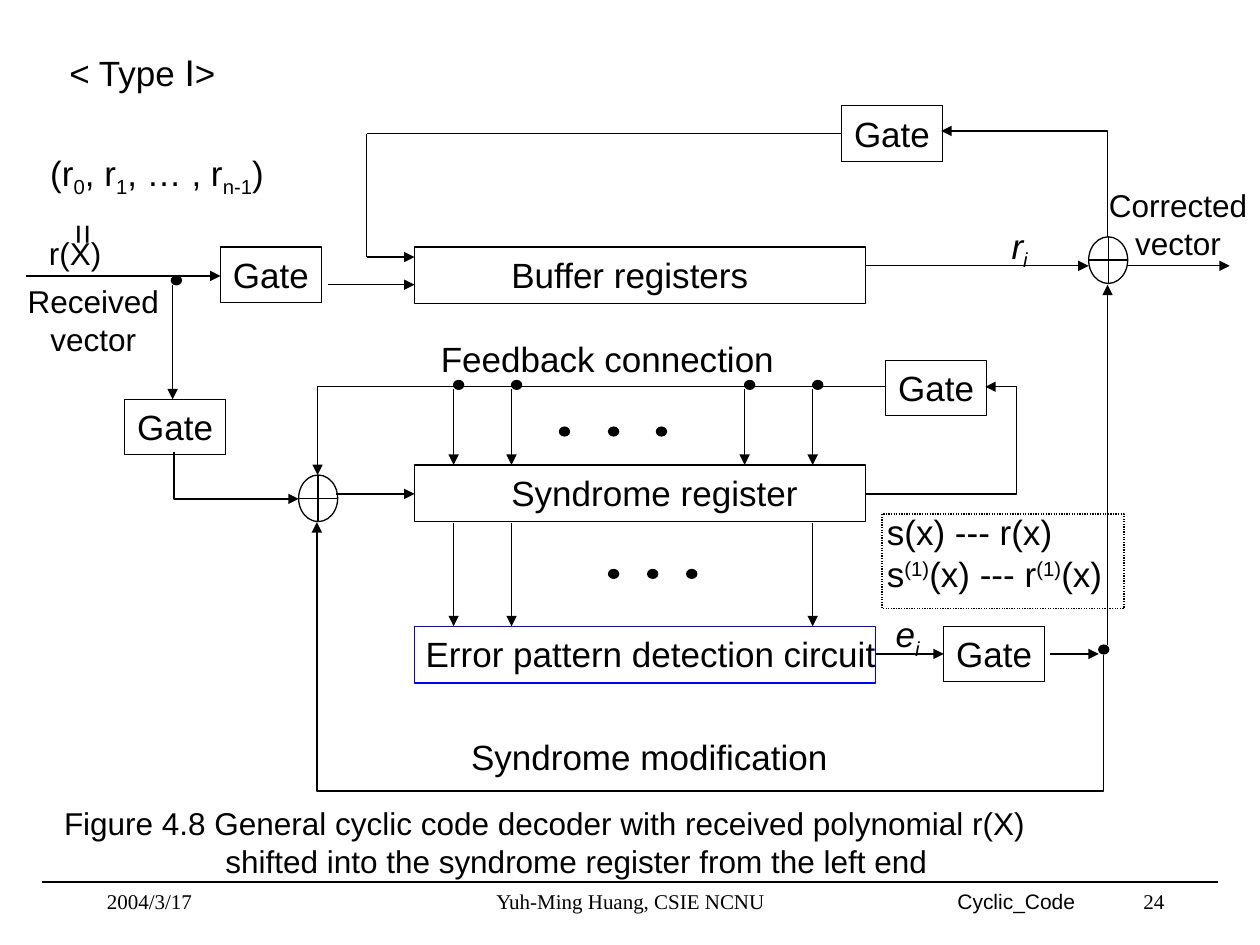
from lxml import etree
from pptx import Presentation
from pptx.dml.color import RGBColor
from pptx.enum import dml, shapes, text
from pptx.oxml import ns
from pptx.util import Pt

PX = 9144  # 100 px to the inch
COLORS = {"ink": "000000", "detector": "0000FF"}
KIND = shapes.MSO_SHAPE
ALIGN = text.PP_ALIGN


def write(frame, content, size=20, font="Arial", align=ALIGN.LEFT, italic=False,
          shift=-25, wrap=False, indent=0, before=0):
    """Fill a text frame; pieces between ~ marks are shifted off the baseline."""
    frame.word_wrap = wrap
    frame.auto_size = text.MSO_AUTO_SIZE.NONE
    frame.vertical_anchor = text.MSO_ANCHOR.TOP
    for row, line in enumerate(content.split("\n")):
        para = frame.add_paragraph() if row else frame.paragraphs[0]
        para.alignment = align
        para.space_before = Pt(before)
        if row and indent:
            para._p.get_or_add_pPr().set("marL", str(indent * PX))
        for number, piece in enumerate(line.split("~")):
            if not piece:
                continue
            span = para.add_run()
            span.text = piece
            span.font.size = Pt(size)
            span.font.name = font
            span.font.italic = italic
            span.font.color.rgb = RGBColor.from_string(COLORS["ink"])
            if number % 2:
                span.font._element.set("baseline", str(shift * 1000))


def connect(kind, ends, arrow=True):
    """Draw a thin connector, with an arrowhead at its end if wanted."""
    line = page.shapes.add_connector(kind, *[value * PX for value in ends])
    line.line.width = Pt(0.75)
    line.line.color.rgb = RGBColor.from_string(COLORS["ink"])
    if arrow:
        etree.SubElement(line.line._get_or_add_ln(), ns.qn("a:tailEnd"), type="triangle")
    etree.SubElement(line._element.spPr, ns.qn("a:effectLst"))
    return line


deck = Presentation()
deck.slide_width, deck.slide_height = 1000 * PX, 750 * PX
page = deck.slides.add_slide(deck.slide_layouts[5])

# Title
title = page.shapes.title
title.left, title.top, title.width, title.height = [v * PX for v in (45, 36, 138, 44)]
write(title.text_frame, "< Type Ⅰ>")

# Registers, detector, adders and the dotted note frame
outlines = [
    (KIND.RECTANGLE, (329, 196, 358, 45), "ink"),
    (KIND.RECTANGLE, (329, 369, 358, 45), "ink"),
    (KIND.RECTANGLE, (329, 497, 366, 45), "detector"),
    (KIND.FLOWCHART_OR, (864, 188, 31, 37), "ink"),
    (KIND.FLOWCHART_OR, (237, 377, 31, 37), "ink"),
    (KIND.RECTANGLE, (700, 408, 192, 75), "ink"),
]
gates = [(668, 84), (703, 286), (175, 196), (99, 317), (749, 497)]
outlines += [(KIND.RECTANGLE, (x, y, 80, 44), "ink") for x, y in gates]

# Junction dots, feedback taps and ellipses
dots = [(136, 219), (872, 512)]
dots += [(x, 302) for x in (360, 406, 591, 645)]
dots += [(x, 339) for x in (444, 483, 521)]
dots += [(x, 452) for x in (483, 514, 545)]
outlines += [(KIND.OVAL, (x, y, 8, 7), "ink") for x, y in dots]

for kind, place, color in outlines:
    shape = page.shapes.add_shape(kind, *[value * PX for value in place])
    shape.shadow.inherit = False
    shape.line.width = Pt(0.75)
    shape.line.color.rgb = RGBColor.from_string(COLORS[color])
    if kind == KIND.OVAL:
        shape.fill.solid()
        shape.fill.fore_color.rgb = RGBColor.from_string(COLORS["ink"])
    else:
        shape.fill.background()
    if place[:2] in gates:
        write(shape.text_frame, "Gate")
    if place[0] == 700:
        shape.line.dash_style = dml.MSO_LINE.ROUND_DOT

# Straight lines without arrowheads: buffer loop and footer rule
STRAIGHT, ELBOW = shapes.MSO_CONNECTOR.STRAIGHT, shapes.MSO_CONNECTOR.ELBOW
for ends in [(668, 106, 291, 106), (291, 106, 291, 204), (33, 700, 967, 700)]:
    connect(STRAIGHT, ends, arrow=False)

# Straight arrows
arrows = [
    (291, 204, 329, 204), (260, 226, 329, 226), (21, 219, 175, 219),
    (137, 226, 137, 317), (267, 392, 329, 392), (879, 512, 879, 226),
    (687, 211, 864, 211), (895, 211, 976, 211), (695, 519, 749, 519),
    (833, 519, 872, 519),
]
arrows += [(x, 309, x, 369) for x in (360, 406, 591, 645)]
arrows += [(x, 415, x, 497) for x in (360, 406, 645)]
for ends in arrows:
    connect(STRAIGHT, ends)

# Elbow arrows: unrotated box, rotation, flip, number of bends + 1, bend position
elbows = [
    ((169, 328, 37, 99), 270, "flipH", 2, None),
    ((511, 155, 105, 624), 270, "flipV", 3, -103200),
    ((771, 80, 84, 132), 270, "flipV", 2, None),
    ((252, 307, 450, 70), 180, "flipV", 2, None),
    ((687, 307, 95, 85), 0, "flipV", 3, 125800),
]
for (x, y, width, height), turn, flip, legs, bend in elbows:
    elbow = connect(ELBOW, (x, y, x + width, y + height))
    frame = elbow._element.spPr.find(ns.qn("a:xfrm"))
    frame.set("rot", str(turn * 60000))
    frame.set(flip, "1")
    geometry = elbow._element.spPr.find(ns.qn("a:prstGeom"))
    geometry.set("prst", f"bentConnector{legs}")
    if bend is not None:
        guides = geometry.find(ns.qn("a:avLst"))
        etree.SubElement(guides, ns.qn("a:gd"), name="adj1", fmla=f"val {bend}")

# Labels, caption and footer
center = {"size": 18, "align": ALIGN.CENTER}
footer = {"size": 12, "font": "Times New Roman", "wrap": True}
labels = [
    ((396, 196, 208, 44), "Buffer registers", {}),
    ((396, 369, 247, 44), "Syndrome register", {}),
    ((328, 497, 377, 44), "Error pattern detection circuit", {}),
    ((364, 579, 303, 44), "Syndrome modification", {}),
    ((340, 263, 284, 44), "Feedback connection", {}),
    ((29, 181, 61, 40), "r(X)", {"size": 18}),
    ((12, 219, 124, 70), "Received\nvector", center),
    ((870, 143, 130, 70), "Corrected\nvector", center),
    ((793, 173, 33, 48), "r~i", {"italic": True}),
    ((701, 481, 39, 48), "e~i", {"italic": True}),
    ((694, 400, 191, 77), "s(x) --- r(x)\ns~(1)~(x) --- r~(1)~(x)", {"shift": 30}),
    ((30, 115, 189, 48), "(r~0~, r~1~, … , r~n-1~)", {}),
    ((41, 633, 909, 70), "Figure 4.8 General cyclic code decoder with received polynomial r(X)\n"
     "shifted into the syndrome register from the left end",
     {"size": 18, "wrap": True, "indent": 128}),
    ((750, 700, 208, 30), "Cyclic_Code", {"size": 12, "wrap": True, "before": 7.5}),
    ((292, 700, 417, 33), "Yuh-Ming Huang, CSIE NCNU", {**footer, "align": ALIGN.CENTER}),
    ((742, 700, 192, 33), "24", {**footer, "align": ALIGN.RIGHT}),
    ((75, 700, 208, 33), "2004/3/17", footer),
]
for place, content, style in labels:
    box = page.shapes.add_textbox(*[value * PX for value in place])
    write(box.text_frame, content, **style)

# Upright equals sign between the vector and its polynomial
equals = page.shapes.add_textbox(*[value * PX for value in (35, 168, 53, 27)])
write(equals.text_frame, "=")
margins = equals.text_frame
margins.margin_left = margins.margin_right = 5 * PX
margins.margin_top = margins.margin_bottom = 10 * PX
margins._txBody.bodyPr.set("vert", "eaVert")

deck.save("out.pptx")
